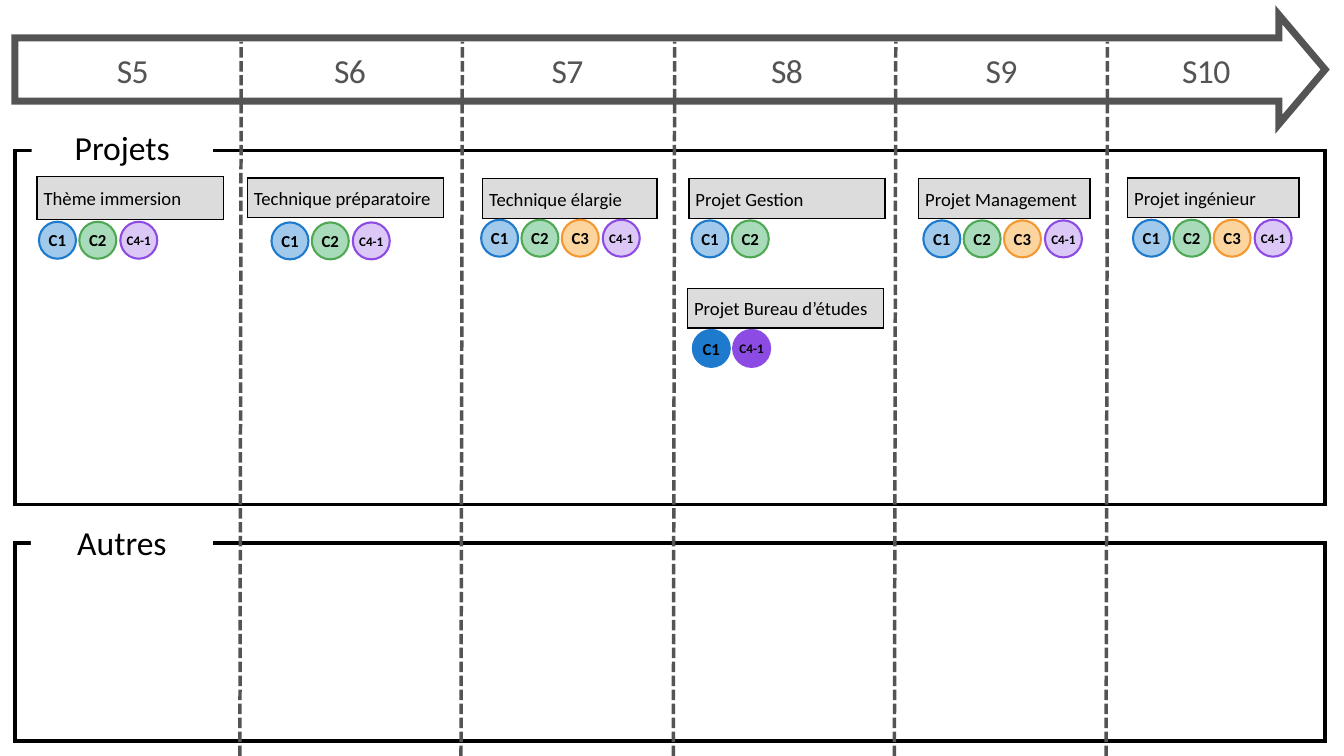
from dataclasses import dataclass

from lxml import etree
from pptx import Presentation
from pptx import util as u
from pptx.dml.color import RGBColor
from pptx.enum import dml, shapes, text
from pptx.oxml import ns

PX = u.Inches(1) // 100  # 100 px to the inch
FONT = "Calibri"

BLACK = RGBColor(0x00, 0x00, 0x00)
WHITE = RGBColor(0xFF, 0xFF, 0xFF)
GREY = RGBColor(0x54, 0x54, 0x54)
LIGHT_GREY = RGBColor(0xDD, 0xDC, 0xDC)
BLUE, PALE_BLUE = RGBColor(0x1E, 0x7A, 0xCC), RGBColor(0xA0, 0xC9, 0xEB)
GREEN, PALE_GREEN = RGBColor(0x4F, 0xA9, 0x54), RGBColor(0xA8, 0xDB, 0xBA)
ORANGE, PALE_ORANGE = RGBColor(0xF4, 0x98, 0x31), RGBColor(0xFB, 0xD4, 0x9E)
PURPLE = RGBColor(0x8C, 0x4B, 0xE2)

BADGE_SIZE, BADGE_STEP = 55, 60
RECT = shapes.MSO_SHAPE.RECTANGLE
CENTER, LEFT = text.PP_ALIGN.CENTER, text.PP_ALIGN.LEFT
MIDDLE, TOP = text.MSO_ANCHOR.MIDDLE, text.MSO_ANCHOR.TOP


@dataclass(frozen=True)
class Box:
    x: int
    y: int
    w: int
    h: int

    def emu(self) -> list[int]:
        return [v * PX for v in (self.x, self.y, self.w, self.h)]


@dataclass(frozen=True)
class Skill:
    name: str
    fill: RGBColor
    line: RGBColor
    size: int = 18
    opacity: int = 100
    shift: int = 0


@dataclass(frozen=True)
class Project:
    title: str
    box: Box
    badge_x: int
    badge_y: int
    skills: list[Skill]


@dataclass(frozen=True)
class Section:
    title: str
    frame: Box
    label: Box
    anchor: text.MSO_ANCHOR


@dataclass(frozen=True)
class Semester:
    name: str
    x: int
    w: int


C1 = Skill("C1", PALE_BLUE, BLUE)
C2 = Skill("C2", PALE_GREEN, GREEN)
C3 = Skill("C3", PALE_ORANGE, ORANGE)
C4 = Skill("C4-1", PURPLE, PURPLE, size=14, opacity=30, shift=1)
C1_FULL = Skill("C1", BLUE, BLUE)
C4_FULL = Skill("C4-1", PURPLE, PURPLE, size=14)

SEMESTERS = [
    Semester("S5", 39, 317), Semester("S6", 356, 330), Semester("S7", 686, 317),
    Semester("S8", 1010, 322), Semester("S9", 1333, 315), Semester("S10", 1647, 296),
]
DIVIDERS = [357, 686, 1002, 1331, 1646]
SECTIONS = [
    Section("Autres", Box(22, 808, 1950, 295), Box(46, 771, 271, 61), TOP),
    Section("Projets", Box(22, 224, 1950, 527), Box(47, 188, 270, 61), MIDDLE),
]
PROJECTS = [
    Project("Thème immersion", Box(55, 263, 278, 64), 58, 330, [C1, C2, C4]),
    Project("Technique préparatoire", Box(368, 265, 292, 59), 404, 331, [C1, C2, C4]),
    Project("Technique élargie", Box(718, 266, 260, 59), 716, 327, [C1, C2, C3, C4]),
    Project("Projet Gestion", Box(1025, 266, 292, 59), 1029, 328, [C1, C2]),
    Project("Projet Bureau d’études", Box(1023, 429, 292, 59), 1031, 491, [C1_FULL, C4_FULL]),
    Project("Projet Management", Box(1367, 266, 255, 59), 1374, 328, [C1, C2, C3, C4]),
    Project("Projet ingénieur", Box(1678, 265, 255, 59), 1686, 327, [C1, C2, C3, C4]),
]


def write(sp, words: str, size: int, color: RGBColor = BLACK, align=CENTER,
          anchor=MIDDLE, bold: bool = False, inset: bool = True):
    tf = sp.text_frame
    tf.text = words
    tf.word_wrap = True
    tf.vertical_anchor = anchor
    if not inset:
        tf.margin_left = tf.margin_top = tf.margin_right = tf.margin_bottom = 0
    p = tf.paragraphs[0]
    p.alignment = align
    font = p.runs[0].font
    font.name, font.size, font.bold = FONT, u.Pt(size), bold
    font.color.rgb = color
    return p


def add_shape(slide, kind, box: Box, fill: RGBColor | None = None,
              line: RGBColor | None = None, width: float = 0):
    """Draw a preset shape without shadow; no fill or line unless given."""
    sp = slide.shapes.add_shape(kind, *box.emu())
    sp.shadow.inherit = False
    if fill is None:
        sp.fill.background()
    else:
        sp.fill.solid()
        sp.fill.fore_color.rgb = fill
    if line is None:
        sp.line.fill.background()
    else:
        sp.line.color.rgb = line
        sp.line.width = u.Pt(width)
        etree.SubElement(sp.line._ln, ns.qn("a:miter"), lim="800000")
    return sp


def add_timeline_arrow(slide) -> None:
    box = Box(22, 22, 1950, 163)
    sp = add_shape(slide, shapes.MSO_SHAPE.RIGHT_ARROW, box, line=GREY, width=7.5)
    sp.adjustments[0] = 94 / box.h  # shaft thickness
    sp.adjustments[1] = 69 / box.h  # head length


def add_divider(slide, x: int) -> None:
    cx = slide.shapes.add_connector(
        shapes.MSO_CONNECTOR.STRAIGHT, x * PX, 1125 * PX, (x + 2) * PX, 62 * PX)
    cx.line.color.rgb = GREY
    cx.line.width = u.Pt(3.75)
    cx.line.dash_style = dml.MSO_LINE.SQUARE_DOT
    etree.SubElement(cx._element.spPr, ns.qn("a:effectLst"))


def add_semester(slide, semester: Semester) -> None:
    box = Box(semester.x, 70, semester.w, 63)
    sp = slide.shapes.add_textbox(*box.emu())
    p = write(sp, semester.name, 36, GREY, anchor=TOP, inset=False)
    p.line_spacing = u.Pt(46.8)
    p.runs[0].font._element.set("spc", "-70")
    sp.text_frame.auto_size = text.MSO_AUTO_SIZE.SHAPE_TO_FIT_TEXT


def add_badge(slide, skill: Skill, x: int, y: int) -> None:
    box = Box(x, y, BADGE_SIZE, BADGE_SIZE)
    sp = add_shape(slide, shapes.MSO_SHAPE.OVAL, box, skill.fill, skill.line, 2.25)
    if skill.opacity < 100:
        color = sp._element.spPr.find(ns.qn("a:solidFill"))[0]
        etree.SubElement(color, ns.qn("a:alpha"), val=str(skill.opacity * 1000))
    write(sp, skill.name, skill.size, bold=True, inset=False)


def add_project(slide, project: Project) -> None:
    sp = add_shape(slide, RECT, project.box, LIGHT_GREY, BLACK, 1.5)
    write(sp, project.title, 20, align=LEFT)
    for i, skill in enumerate(project.skills):
        add_badge(slide, skill, project.badge_x + i * BADGE_STEP + skill.shift,
                  project.badge_y)


def main() -> None:
    prs = Presentation()
    prs.slide_width, prs.slide_height = 2000 * PX, 1125 * PX
    slide = prs.slides.add_slide(prs.slide_layouts[6])

    add_timeline_arrow(slide)
    for section in SECTIONS:
        add_shape(slide, RECT, section.frame, line=BLACK, width=3.75)
    for x in DIVIDERS:
        add_divider(slide, x)
    for semester in SEMESTERS:
        add_semester(slide, semester)
    for section in SECTIONS:
        label = add_shape(slide, RECT, section.label, WHITE)
        write(label, section.title, 36, anchor=section.anchor)
    for project in PROJECTS:
        add_project(slide, project)

    prs.save("out.pptx")


if __name__ == "__main__":
    main()
